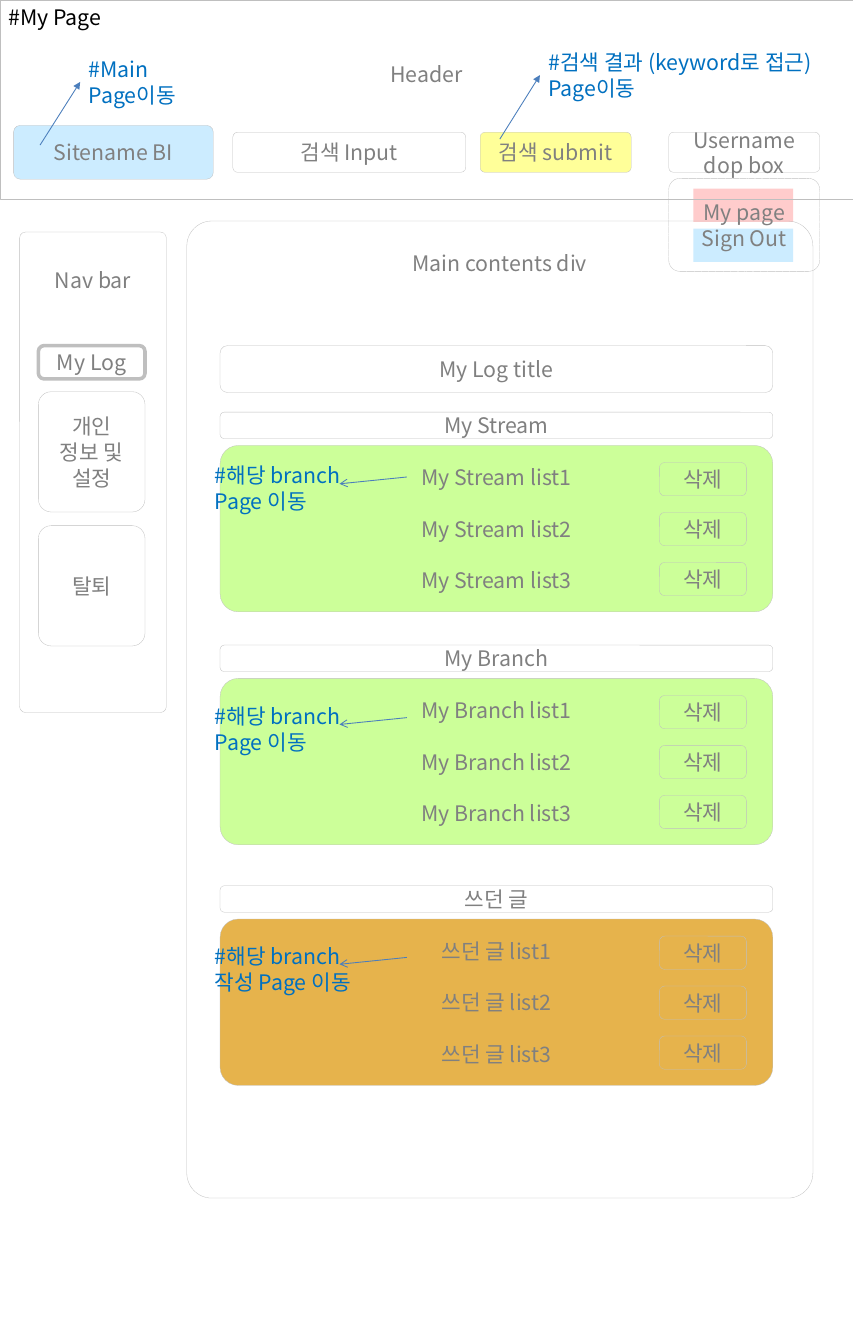
from dataclasses import dataclass

import pptx
import pptx.dml.color
import pptx.enum.dml
import pptx.enum.shapes
import pptx.enum.text
import pptx.oxml.ns
import pptx.util
from lxml import etree
from pptx.shapes.autoshape import Shape
from pptx.slide import Slide
from pptx.text.text import TextFrame
from pptx.util import Inches

SHAPES = pptx.enum.shapes.MSO_SHAPE
ANCHOR = pptx.enum.text.MSO_ANCHOR
ALIGN = pptx.enum.text.PP_ALIGN
FONT = "Noto Sans CJK KR"
LINE_PITCH = 21.7
COLORS = {
    "black": "000000", "gray": "808080", "border": "BFBFBF",
    "note": "0070C0", "arrow": "4B7EBC", "blue": "CCECFF", "pink": "FFCCCC",
    "yellow": "FFFF99", "green": "CCFF99", "orange": "E6B34C",
}


@dataclass
class Box:
    left: float
    top: float
    width: float
    height: float
    lines: tuple[str, ...] = ()
    radius: float = 0.0
    fill: str | None = None
    border: float = 0.25
    dashed: bool = False
    text_top: float | None = None  # text is centred vertically when None
    gap: float = 0.0


@dataclass
class Note:
    left: float
    top: float
    width: float
    lines: tuple[str, ...]
    start: tuple[float, float]
    end: tuple[float, float]
    head: str = "triangle"


@dataclass
class Section:
    top: float
    name: str
    fill: str
    note_top: float
    note_target: str


def rgb(name: str) -> pptx.dml.color.RGBColor:
    return pptx.dml.color.RGBColor.from_string(COLORS[name])


def write(tf: TextFrame, lines: tuple[str, ...], color: str,
          align: ALIGN, gap: float = 0.0) -> None:
    tf.word_wrap = True
    tf.auto_size = pptx.enum.text.MSO_AUTO_SIZE.NONE
    for i, line in enumerate(lines):
        p = tf.add_paragraph() if i else tf.paragraphs[0]
        p.alignment = align
        p.line_spacing = pptx.util.Pt(LINE_PITCH)
        p.space_before = pptx.util.Pt(gap if i else 0)
        r = p.add_run()
        r.text = line
        r.font.size = pptx.util.Pt(18)
        r.font.name = FONT
        r.font.color.rgb = rgb(color)
        ea = etree.SubElement(r.font._element, pptx.oxml.ns.qn("a:ea"))
        ea.set("typeface", FONT)


def add_box(s: Slide, box: Box) -> Shape:
    kind = SHAPES.ROUNDED_RECTANGLE if box.radius else SHAPES.RECTANGLE
    sp = s.shapes.add_shape(kind, Inches(box.left), Inches(box.top),
                            Inches(box.width), Inches(box.height))
    sp.shadow.inherit = False
    if box.radius:
        sp.adjustments[0] = box.radius
    if box.fill:
        sp.fill.solid()
        sp.fill.fore_color.rgb = rgb(box.fill)
    else:
        sp.fill.background()
    if box.border:
        sp.line.color.rgb = rgb("border")
        sp.line.width = pptx.util.Pt(box.border)
        if box.dashed:
            sp.line.dash_style = pptx.enum.dml.MSO_LINE.SQUARE_DOT
    else:
        sp.line.fill.background()
    tf = sp.text_frame
    tf.vertical_anchor = ANCHOR.MIDDLE
    if box.text_top is not None:
        tf.vertical_anchor = ANCHOR.TOP
        tf.margin_top = Inches(box.text_top)
    write(tf, box.lines, "gray", ALIGN.CENTER, box.gap)
    return sp


def add_note(s: Slide, note: Note) -> None:
    """Draw an arrow and the blue remark it leads to."""
    line = s.shapes.add_connector(
        pptx.enum.shapes.MSO_CONNECTOR.STRAIGHT,
        *(Inches(v) for v in (*note.start, *note.end)))
    line.line.color.rgb = rgb("arrow")
    line.line.width = pptx.util.Pt(0.75)
    qn = pptx.oxml.ns.qn
    sp_pr = line._element.spPr
    etree.SubElement(sp_pr.find(qn("a:ln")), qn("a:tailEnd")).set("type", note.head)
    etree.SubElement(sp_pr, qn("a:effectLst"))
    sp = s.shapes.add_textbox(Inches(note.left), Inches(note.top),
                              Inches(note.width), Inches(0.71))
    write(sp.text_frame, note.lines, "note", ALIGN.LEFT)


def add_section(s: Slide, section: Section) -> None:
    """Draw a heading bar and a card of three items with delete buttons."""
    items = tuple(f"{section.name} list{i}" for i in (1, 2, 3))
    add_box(s, Box(2.58, section.top, 6.48, 0.31, (section.name,), 0.16))
    add_box(s, Box(2.58, section.top + 0.39, 6.48, 1.95, items, 0.11,
                   section.fill, gap=LINE_PITCH))
    for i in range(len(items)):
        add_box(s, Box(7.73, section.top + 0.59 + 0.585 * i, 1.02, 0.39,
                       ("삭제",), 0.16))


def add_title(s: Slide, text: str) -> None:
    sp = s.shapes.title
    sp.left, sp.top = Inches(0), Inches(0)
    sp.width, sp.height = Inches(1.6), Inches(0.4)
    sp.text_frame.vertical_anchor = ANCHOR.TOP
    write(sp.text_frame, (text,), "black", ALIGN.LEFT)


BOXES = [
    Box(8.13, 2.68, 1.17, 0.39, fill="blue", border=0),
    Box(8.13, 2.21, 1.17, 0.39, fill="pink", border=0),
    Box(0, 0, 10, 2.33, ("Header",), text_top=0.72),
    Box(0.16, 1.47, 2.34, 0.63, ("Sitename BI",), 0.12, "blue"),
    Box(2.73, 1.55, 2.73, 0.47, ("검색 Input",), 0.12),
    Box(5.63, 1.55, 1.77, 0.47, ("검색 submit",), 0.12, "yellow"),
    Box(7.84, 1.55, 1.77, 0.47, ("Username dop box",), 0.12),
    Box(7.84, 2.09, 1.77, 1.09, ("My page", "Sign Out"), 0.12, dashed=True),
    Box(2.19, 2.59, 7.34, 11.45, ("Main contents div",), 0.04, text_top=0.25),
    Box(0.23, 2.72, 1.72, 5.63, ("Nav bar",), 0.04, text_top=0.39),
    Box(0.45, 4.05, 1.25, 0.39, ("My Log",), 0.17, border=3),
    Box(0.45, 4.59, 1.25, 1.41, ("개인", "정보 및 설정"), 0.12),
    Box(0.45, 6.16, 1.25, 1.41, ("탈퇴",), 0.12),
    Box(2.58, 4.05, 6.48, 0.55, ("My Log title",), 0.16),
]
SECTIONS = [
    Section(4.83, "My Stream", "green", 5.37, "Page 이동"),
    Section(7.56, "My Branch", "green", 8.19, "Page 이동"),
    Section(10.38, "쓰던 글", "orange", 11.0, "작성 Page 이동"),
]
NOTES = [
    Note(0.94, 0.61, 1.25, ("#Main Page이동",), (0.47, 1.7), (0.94, 0.96)),
    Note(6.33, 0.53, 3.67, ("#검색 결과 (keyword로 접근) Page이동",),
         (5.86, 1.63), (6.33, 0.88)),
] + [
    Note(2.42, sec.note_top, 3.67, ("#해당 branch", sec.note_target),
         (4.77, sec.note_top + 0.22), (3.98, sec.note_top + 0.3), "arrow")
    for sec in SECTIONS
]


def main() -> None:
    prs = pptx.Presentation()
    prs.slide_width, prs.slide_height = Inches(10), Inches(15.75)
    s = prs.slides.add_slide(prs.slide_layouts[5])
    add_title(s, "#My Page")
    for box in BOXES:
        add_box(s, box)
    for section in SECTIONS:
        add_section(s, section)
    for note in NOTES:
        add_note(s, note)
    prs.save("out.pptx")


if __name__ == "__main__":
    main()
